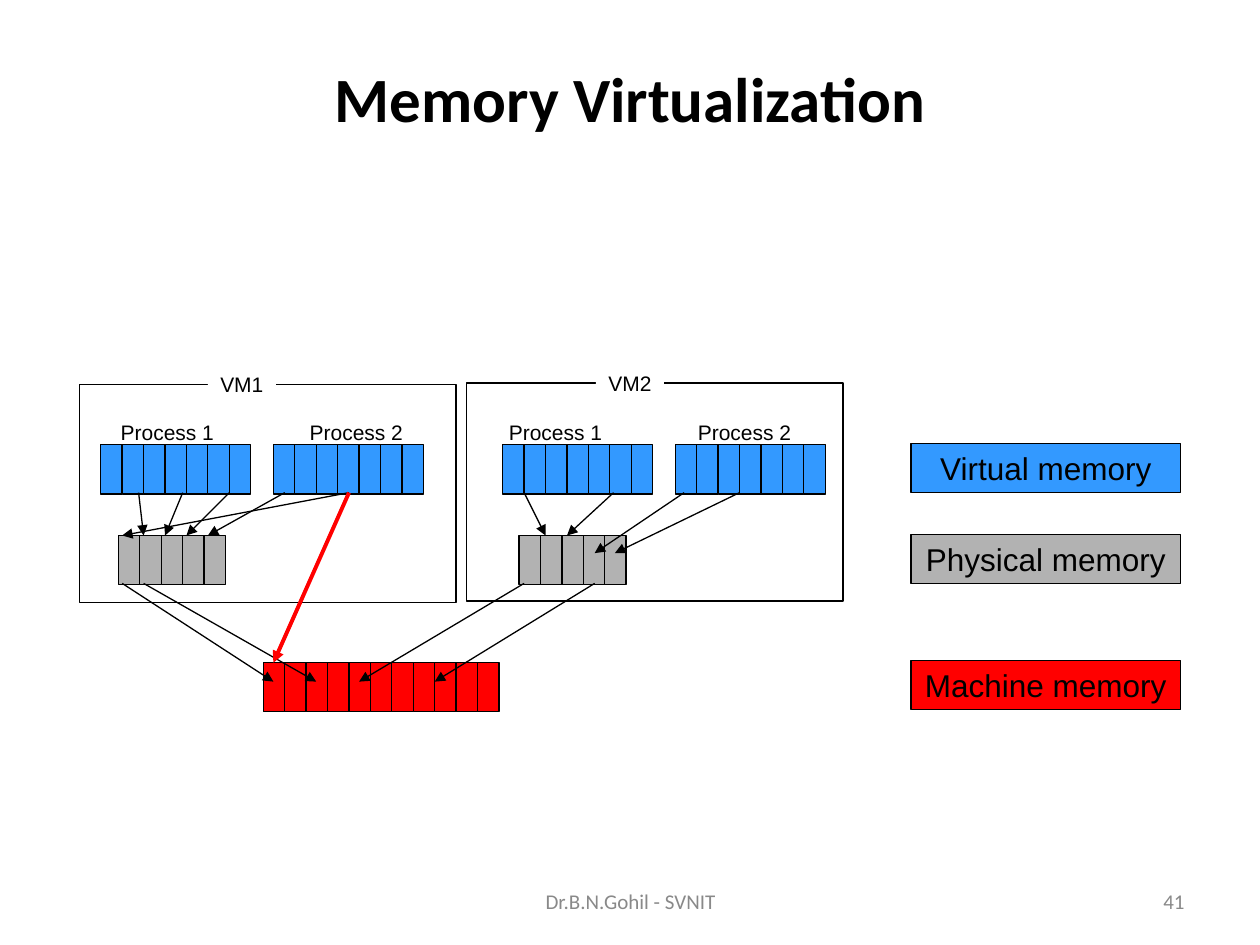
from dataclasses import dataclass

from lxml.etree import SubElement
from pptx import Presentation
from pptx.dml.color import RGBColor as Rgb
from pptx.enum.shapes import MSO_CONNECTOR as Link, MSO_SHAPE as Form
from pptx.enum.text import MSO_ANCHOR as Anchor, PP_ALIGN as Align
from pptx.oxml.ns import qn
from pptx.util import Inches, Pt


@dataclass(frozen=True)
class Theme:
    """Colours, fonts and sizes of the slide."""
    ink: str = "000000"
    paper: str = "FFFFFF"
    muted: str = "898989"
    virtual: str = "3399FF"
    physical: str = "B2B2B2"
    machine: str = "FF0000"
    head: str = "Calibri"
    body: str = "Arial"
    title: int = 36
    key: int = 18
    label: int = 12
    thin: float = 0.75
    thick: float = 2.25


class Board:
    """Draws memory diagrams on one slide."""

    def __init__(self, deck, theme):
        self.theme = theme
        self.slide = deck.slides.add_slide(deck.slide_layouts[6])
        self.shapes = self.slide.shapes

    def label(self, shape, text, size=None, font=None, color=None,
              align=Align.LEFT, anchor=Anchor.TOP, wrap=False):
        look = self.theme
        frame = shape.text_frame
        frame.word_wrap = wrap
        frame.vertical_anchor = anchor
        para = frame.paragraphs[0]
        para.text = text
        para.alignment = align
        para.font.size = Pt(size or look.label)
        para.font.name = font or look.body
        para.font.color.rgb = Rgb.from_string(color or look.ink)
        return para

    def text(self, box, text, **style):
        shape = self.shapes.add_textbox(*map(Inches, box))
        return self.label(shape, text, **style)

    def rect(self, box, fill=None, edge=True):
        shape = self.shapes.add_shape(Form.RECTANGLE, *map(Inches, box))
        shape.shadow.inherit = False
        if fill:
            shape.fill.solid()
            shape.fill.fore_color.rgb = Rgb.from_string(fill)
        else:
            shape.fill.background()
        if edge:
            shape.line.color.rgb = Rgb.from_string(self.theme.ink)
            shape.line.width = Pt(self.theme.thin)
        else:
            shape.line.fill.background()
        return shape

    def row(self, left, top, count, fill, cell=0.17, high=0.39):
        for i in range(count):
            self.rect((left + i * cell, top, cell, high), fill)

    def key(self, top, text, fill):
        self.label(self.rect((7.23, top, 2.14, 0.39), fill), text,
                   size=self.theme.key, align=Align.CENTER, anchor=Anchor.MIDDLE)

    def machine(self, name, left, top, first):
        self.rect((left, top, 2.99, 1.73))
        for i in range(2):
            self.text((first + i * 1.5, 3.28, 0.94, 0.3), f"Process {i + 1}")
        box = (first + 0.79, top - 0.15, 0.54, 0.3)
        self.label(self.rect(box, self.theme.paper, False), name)

    def arrow(self, start, end, color=None, width=None):
        link = self.shapes.add_connector(
            Link.STRAIGHT, *map(Inches, (*start, *end)))
        link.line.color.rgb = Rgb.from_string(color or self.theme.ink)
        link.line.width = Pt(width or self.theme.thin)
        props = link.element.spPr
        SubElement(props.find(qn("a:ln")), qn("a:tailEnd"), type="triangle")
        SubElement(props, qn("a:effectLst"))

    def fan(self, top, low, pairs):
        for start, end in pairs:
            self.arrow((start, top), (end, low))


def main():
    deck = Presentation()
    deck.slide_width, deck.slide_height = Inches(10), Inches(7.5)
    look = Theme()
    board = Board(deck, look)

    title = board.text((0.5, 0.3, 9, 0.95), "Memory Virtualization",
                       size=look.title, font=look.head, align=Align.CENTER,
                       anchor=Anchor.MIDDLE, wrap=True)
    title.font.bold = True

    board.row(2.09, 5.26, 11, look.machine)
    for left in (0.94, 4.12):
        board.row(left, 4.25, 5, look.physical)
    for left in (0.8, 2.17, 3.99, 5.36):
        board.row(left, 3.53, 7, look.virtual)

    board.key(5.24, "Machine memory", look.machine)
    board.key(4.24, "Physical memory", look.physical)
    board.key(3.52, "Virtual memory", look.virtual)

    board.machine("VM1", 0.63, 3.05, 0.86)
    board.machine("VM2", 3.7, 3.04, 3.94)

    board.fan(3.91, 4.25, [(1.1, 1.14), (1.45, 1.31), (1.82, 1.48), (2.77, 0.97),
                           (2.26, 1.65), (4.16, 4.33), (4.87, 4.5)])
    board.fan(4.63, 5.41, [(0.97, 2.17), (1.14, 2.51), (4.72, 3.45), (4.16, 2.85)])
    board.fan(3.91, 4.39, [(5.87, 4.88), (5.43, 4.72)])
    board.arrow((2.77, 3.91), (2.17, 5.26), look.machine, look.thick)

    for box, text, align in (
            ((7.17, 6.95, 2.33, 0.4), "41", Align.RIGHT),
            ((3.42, 6.95, 3.17, 0.4), "Dr.B.N.Gohil - SVNIT", Align.CENTER)):
        board.text(box, text, font=look.head, color=look.muted, align=align,
                   anchor=Anchor.MIDDLE, wrap=True)

    deck.save("out.pptx")


if __name__ == "__main__":
    main()
